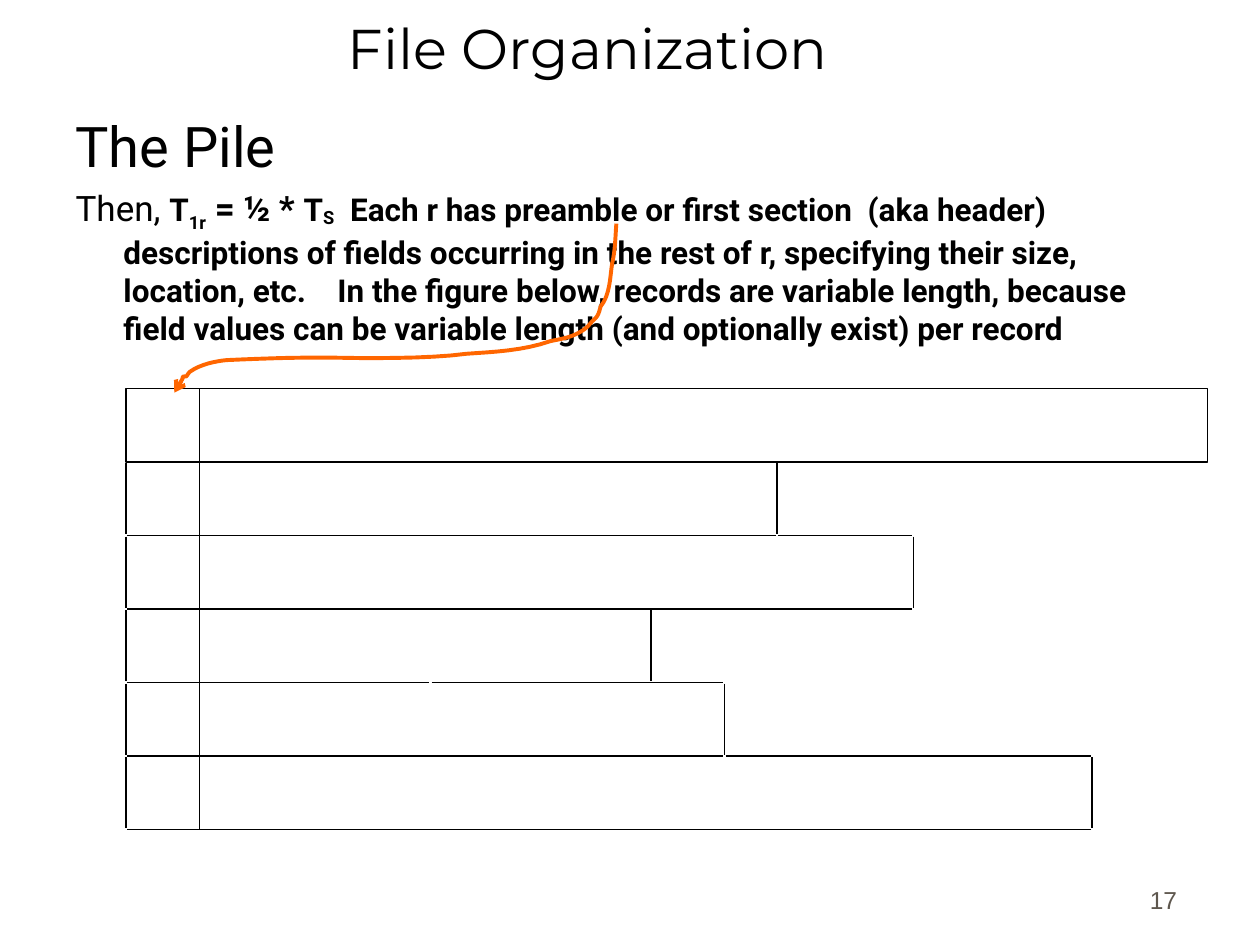
import itertools

import pptx
import pptx.dml.color
import pptx.enum.shapes
import pptx.enum.text
import pptx.oxml
import pptx.oxml.ns
import pptx.util

COLORS = {"ink": "000000", "arrow": "FF6600", "number": "5E574E"}
UNIT = pptx.util.Inches(1) / 12
LEFT, DIVIDER, TOP, ROW = 12, 19, 37, 7
RECORD_ENDS = [115, 74, 87, 62, 69, 104]
ROW_STOPS = [(LEFT, 74, 87), (LEFT, 87), (LEFT, 41, 69), (LEFT, 69, 104), (LEFT, 104)]
GAP = 0.1
ARROW_START = (58.7, 21.3)
ARROW_CURVES = [
    ((58.6, 22.7), (58.6, 23.8), (58.3, 25.1)),
    ((58.1, 26.4), (58.1, 28.1), (57.2, 29.2)),
    ((57, 29.9), (57, 30.1), (56.4, 30.6)),
    ((56, 31.1), (55.7, 31.4), (55.1, 31.7)),
    ((54.2, 32.2), (53.3, 32.3), (52.4, 32.5)),
    ((49.8, 33.4), (47.2, 33.5), (44.4, 33.7)),
    ((40.9, 34.2), (34, 34.1), (34, 34.1)),
    ((28.7, 34), (26.2, 34.1), (21.6, 34.3)),
    ((20.5, 34.4), (19.1, 34.7), (18.1, 35.4)),
    ((18, 35.5), (17.9, 35.6), (17.8, 35.8)),
    ((17.8, 35.9), (17.5, 35.8), (17.4, 35.9)),
    ((17.4, 36), (17.4, 36.1), (17.3, 36.2)),
    ((17.3, 36.4), (16.6, 37.2), (16.6, 37.4)),
]
DESCRIPTION = (
    "  Each r has preamble or first section  (aka header) descriptions of fields "
    "occurring in the rest of r, specifying their size, location, etc.    In the figure "
    "below, records are variable length, because field values can be variable length "
    "(and optionally exist) per record"
)


def grid(value):
    """Turn grid units into a length."""
    return pptx.util.Emu(round(value * UNIT))


def rgb(name):
    """Look up a named color."""
    return pptx.dml.color.RGBColor.from_string(COLORS[name])


def element(tag, **attributes):
    """Make a drawing element with the given attributes."""
    node = pptx.oxml.parse_xml(f"<{tag} {pptx.oxml.ns.nsdecls('a')}/>")
    for name, value in attributes.items():
        node.set(name, value)
    return node


def add_text(paragraph, text, font="Roboto", size=18, bold=False, color="ink", baseline=0):
    """Append one formatted run to a paragraph."""
    run = paragraph.add_run()
    run.text = text
    run.font.name = font
    run.font.size = pptx.util.Pt(size)
    run.font.bold = bold
    run.font.color.rgb = rgb(color)
    if baseline:
        run.font._element.set("baseline", str(baseline * 1000))


def curve_points(start, curves, steps=8):
    """Sample a chain of cubic curves."""
    points = [start]
    for first, second, end in curves:
        corners = (points[-1], first, second, end)
        for step in range(1, steps + 1):
            t = step / steps
            weights = ((1 - t) ** 3, 3 * t * (1 - t) ** 2, 3 * t * t * (1 - t), t ** 3)
            points.append(tuple(
                sum(weight * corner[axis] for weight, corner in zip(weights, corners))
                for axis in (0, 1)
            ))
    return points


class SlideBuilder:
    """Hold the style and the current slide."""

    def __init__(self, slide, line_width=1):
        """Keep the slide and the width of its thin lines."""
        self.slide = slide
        self.line_width = line_width

    def frame(self, shape, box, anchor):
        """Place a text shape and return its text frame."""
        shape.left, shape.top, shape.width, shape.height = map(grid, box)
        frame = shape.text_frame
        frame.word_wrap = True
        frame.auto_size = pptx.enum.text.MSO_AUTO_SIZE.NONE
        frame.vertical_anchor = anchor
        return frame

    def title(self, text, box):
        """Fill the title placeholder."""
        frame = self.frame(self.slide.shapes.title, box, pptx.enum.text.MSO_ANCHOR.MIDDLE)
        paragraph = frame.paragraphs[0]
        paragraph.alignment = pptx.enum.text.PP_ALIGN.CENTER
        add_text(paragraph, text, font="Montserrat", size=32)

    def body(self, paragraphs, box):
        """Fill the body placeholder with paragraphs of formatted runs."""
        frame = self.frame(self.slide.placeholders[1], box, pptx.enum.text.MSO_ANCHOR.TOP)
        for index, runs in enumerate(paragraphs):
            paragraph = frame.add_paragraph() if index else frame.paragraphs[0]
            paragraph.alignment = pptx.enum.text.PP_ALIGN.LEFT
            paragraph.space_before = pptx.util.Pt(4.5 if index else 0)
            properties = paragraph._p.get_or_add_pPr()
            indent = pptx.util.Inches(0.38)
            properties.set("marL", str(indent))
            properties.set("indent", str(-indent))
            properties.append(element("a:buNone"))
            for text, style in runs:
                add_text(paragraph, text, **style)

    def page_number(self, text, box):
        """Add the page number in its own text box."""
        shape = self.slide.shapes.add_textbox(*map(grid, box))
        frame = self.frame(shape, box, pptx.enum.text.MSO_ANCHOR.BOTTOM)
        frame.paragraphs[0].alignment = pptx.enum.text.PP_ALIGN.RIGHT
        add_text(frame.paragraphs[0], text, font="Arial", size=14, color="number")

    def outline(self, shape, color="ink", width=None):
        """Set the line color and width of a shape."""
        shape.line.color.rgb = rgb(color)
        shape.line.width = pptx.util.Pt(width or self.line_width)

    def rectangle(self, box):
        """Add an unfilled rectangle."""
        shape = self.slide.shapes.add_shape(
            pptx.enum.shapes.MSO_SHAPE.RECTANGLE, *map(grid, box))
        shape.shadow.inherit = False
        shape.fill.background()
        self.outline(shape)

    def line(self, *ends):
        """Add a thin straight line."""
        connector = self.slide.shapes.add_connector(
            pptx.enum.shapes.MSO_CONNECTOR.STRAIGHT, *map(grid, ends))
        self.outline(connector)
        connector._element.spPr.append(element("a:effectLst"))

    def curved_arrow(self, points):
        """Add an open curve with an arrowhead at its end."""
        vertices = [tuple(map(grid, point)) for point in points]
        builder = self.slide.shapes.build_freeform(*vertices[0])
        builder.add_line_segments(vertices[1:], close=False)
        shape = builder.convert_to_shape()
        shape.shadow.inherit = False
        shape.fill.background()
        self.outline(shape, "arrow", 2.25)
        shape.line._get_or_add_ln().append(element("a:tailEnd", type="arrow"))

    def records(self):
        """Draw the stacked records of differing lengths."""
        self.rectangle((LEFT, TOP, RECORD_ENDS[0] - LEFT, ROW))
        for index, end in enumerate(RECORD_ENDS[1:], 1):
            top = TOP + index * ROW
            for column in (LEFT, end):
                self.line(column, top + GAP, column, top + ROW - GAP)
        for index, stops in enumerate(ROW_STOPS, 2):
            row = TOP + index * ROW
            for start, end in itertools.pairwise(stops):
                self.line(start + GAP, row, end - GAP, row)
        self.line(DIVIDER, TOP, DIVIDER, TOP + len(RECORD_ENDS) * ROW)


def main():
    """Build and save the slide."""
    presentation = pptx.Presentation()
    presentation.slide_width, presentation.slide_height = grid(120), grid(90)
    slide = presentation.slides.add_slide(presentation.slide_layouts[1])
    builder = SlideBuilder(slide)
    builder.title("File Organization", (5, 0, 102, 9))
    bold = {"bold": True}
    builder.body([
        [("The Pile", {"size": 32})],
        [
            ("Then, ", {"size": 20}),
            ("T", bold),
            ("1r", {"bold": True, "baseline": -25}),
            (" = ½ * ", {"bold": True, "size": 20}),
            ("T", bold),
            ("S", {"bold": True, "baseline": -10}),
            (DESCRIPTION, bold),
        ],
    ], (6, 10, 107.3, 78))
    builder.records()
    builder.curved_arrow(curve_points(ARROW_START, ARROW_CURVES))
    builder.page_number("17", (88.3, 81.7, 25, 6))
    presentation.save("out.pptx")


if __name__ == "__main__":
    main()
